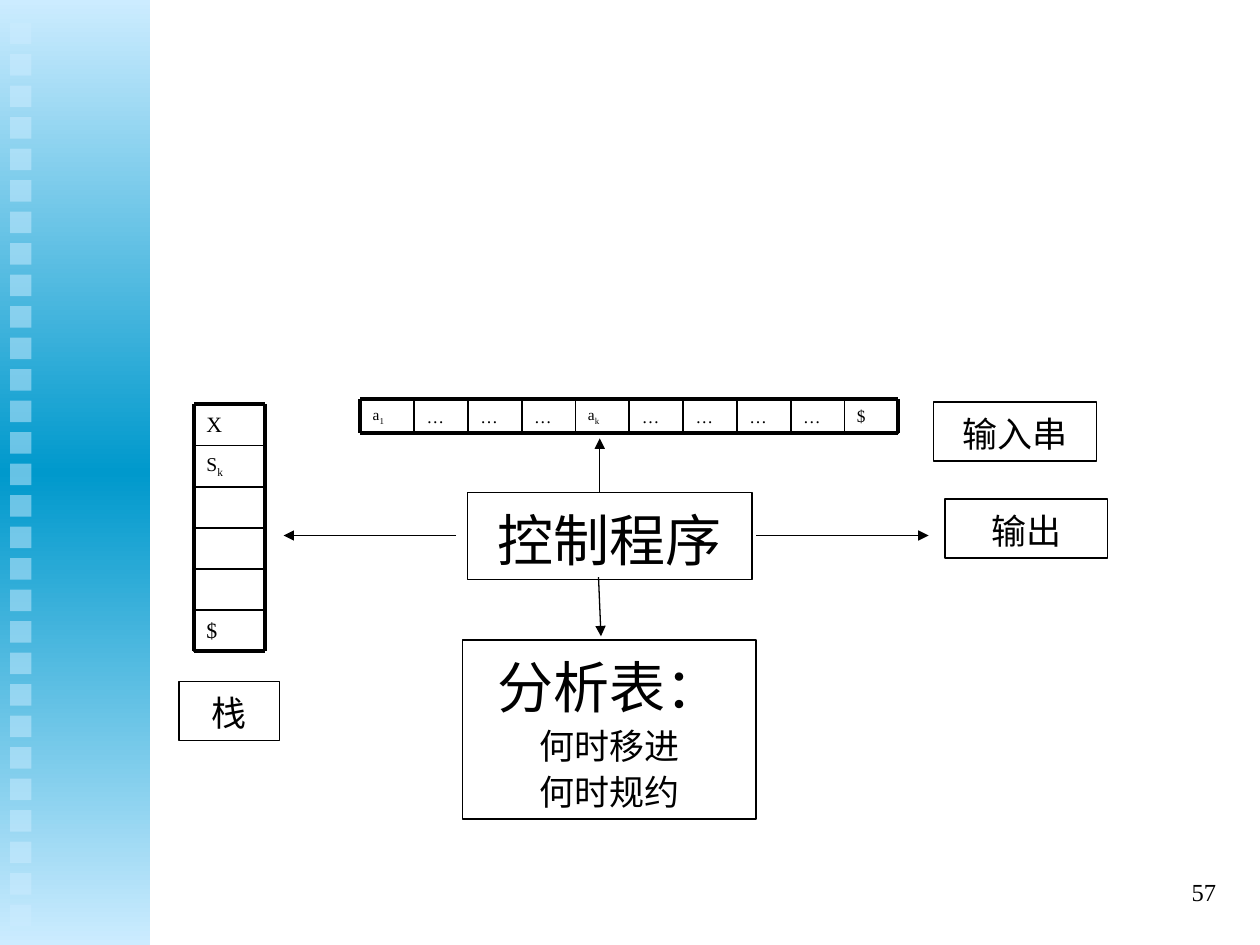
from copy import deepcopy

from pptx import Presentation
from pptx import util as u
from pptx.dml.color import RGBColor
from pptx.enum import shapes, text
from pptx.oxml import ns
from pptx.oxml.xmlchemy import OxmlElement

BLACK = RGBColor(0x00, 0x00, 0x00)
PALE_BLUE = RGBColor(0xCC, 0xEC, 0xFF)
DEEP_BLUE = RGBColor(0x00, 0x99, 0xCC)
CJK_FONT = "Noto Sans CJK SC"
LATIN_FONT = "Times New Roman"
CENTER = text.PP_ALIGN.CENTER
LEFT = text.PP_ALIGN.LEFT
DOTS = ("…", "", 10)


def style_run(run, size, font):
    """Set size, colour and typeface of a run."""
    run.font.size = u.Pt(size)
    run.font.color.rgb = BLACK
    run.font.name = font
    east_asian = OxmlElement("a:ea")
    east_asian.set("typeface", font)
    run.font._element.find(ns.qn("a:latin")).addnext(east_asian)


def add_box(slide, left, top, width, height):
    """Add an unfilled rectangle with a thin black outline."""
    box = slide.shapes.add_shape(shapes.MSO_SHAPE.RECTANGLE, left, top, width, height)
    box.shadow.inherit = False
    box.fill.background()
    box.line.color.rgb = BLACK
    box.line.width = u.Pt(0.75)
    box.text_frame.word_wrap = True
    box.text_frame.vertical_anchor = text.MSO_ANCHOR.TOP
    return box


def add_line(slide, start, end, weight, arrow=False):
    """Draw a black line, with an arrowhead at its end if asked."""
    line = slide.shapes.add_connector(shapes.MSO_CONNECTOR.STRAIGHT, *start, *end)
    line.line.color.rgb = BLACK
    line.line.width = u.Pt(weight)
    if arrow:
        tip = OxmlElement("a:tailEnd")
        tip.set("type", "triangle")
        line.line._get_or_add_ln().append(tip)
    line._element.spPr.append(OxmlElement("a:effectLst"))


def add_label(slide, left, top, width, height, lines, space_before=0):
    """Add a box of centred lines given as (wording, size)."""
    box = add_box(slide, left, top, width, height)
    frame = box.text_frame
    frame.text = "\n".join(wording for wording, _ in lines)
    for paragraph, (_, size) in zip(frame.paragraphs, lines):
        paragraph.alignment = CENTER
        paragraph.line_spacing = 1.1
        paragraph.space_before = u.Pt(space_before)
        style_run(paragraph.runs[0], size, CJK_FONT)


def add_cell(slide, left, top, width, height, symbol, subscript, size):
    """Add one memory cell holding a symbol with an optional subscript."""
    frame = add_box(slide, left, top, width, height).text_frame
    if not symbol:
        return
    paragraph = frame.paragraphs[0]
    paragraph.text = symbol
    paragraph.alignment = LEFT
    paragraph.space_before = u.Pt(4)
    style_run(paragraph.runs[0], size, LATIN_FONT)
    if subscript:
        index = paragraph.add_run()
        index.text = subscript
        style_run(index, size, LATIN_FONT)
        index.font._element.set("baseline", "-25000")


def add_cell_strip(slide, left, top, width, height, cells, vertical=False):
    """Fill a box with equal cells, thin dividers and a heavy frame."""
    count = len(cells)
    right, bottom = left + width, top + height
    step_x, step_y = (0, height / count) if vertical else (width / count, 0)
    cell_width, cell_height = int(step_x or width), int(step_y or height)
    for i, cell in enumerate(cells):
        add_cell(slide, int(left + i * step_x), int(top + i * step_y),
                 cell_width, cell_height, *cell)
    for i in range(count + 1):
        x, y = int(left + i * step_x), int(top + i * step_y)
        end = (right, y) if vertical else (x, bottom)
        add_line(slide, (x, y), end, 2.25 if i in (0, count) else 1)
    if vertical:
        sides = [((x, top), (x, bottom)) for x in (left, right)]
    else:
        sides = [((left, y), (right, y)) for y in (top, bottom)]
    for start, end in sides:
        add_line(slide, start, end, 2.25)


def add_side_band(slide, left, top, width, height):
    """Draw the gradient band with its column of translucent squares."""
    band = add_box(slide, left, top, width, height)
    band.line.fill.background()
    band.fill.gradient()
    band.fill.gradient_angle = 90
    stops = band._element.spPr.find(".//" + ns.qn("a:gsLst"))
    stops.append(deepcopy(stops[0]))
    colors = (PALE_BLUE, DEEP_BLUE, PALE_BLUE)
    for i, (stop, color) in enumerate(zip(band.fill.gradient_stops, colors)):
        stop.color.rgb = color
        stop.position = i / 2
    side = u.Inches(0.17)
    for i in range(29):
        square = add_box(slide, left + u.Inches(0.08),
                         top + u.Inches(0.18 + 0.25 * i), side, side)
        square.line.fill.background()
        square.fill.solid()
        square.fill.fore_color.rgb = PALE_BLUE
        alpha = OxmlElement("a:alpha")
        alpha.set("val", "50000")
        square._element.spPr.find(".//" + ns.qn("a:srgbClr")).append(alpha)


def add_parser_diagram(slide, left, top):
    """Draw the parser model: stack, input, control program, table and output."""
    def place(x, y, width, height):
        return (left + u.Inches(x), top + u.Inches(y),
                u.Inches(width), u.Inches(height))

    add_label(slide, *place(0, 2.24, 0.8, 0.47), [("栈", 20)], 12.5)
    add_label(slide, *place(2.29, 0.74, 2.26, 0.69), [("控制程序", 32)], 20)
    add_label(slide, *place(2.25, 1.91, 2.33, 1.42),
              [("分析表：", 32), ("何时移进", 20), ("何时规约", 20)])
    add_cell_strip(slide, *place(1.44, 0, 4.27, 0.27),
                   [("a", "1", 8.8), *[DOTS] * 3, ("a", "k", 8.8),
                    *[DOTS] * 4, ("$", "", 9.9)])
    add_cell_strip(slide, *place(0.12, 0.04, 0.56, 1.96),
                   [("X", "", 12.5), ("S", "k", 11.2), *[("", "", 12.5)] * 3,
                    ("$", "", 12.5)], vertical=True)
    add_label(slide, *place(5.99, 0.02, 1.29, 0.47), [("输入串", 20)], 12.5)
    add_label(slide, *place(6.08, 0.79, 1.29, 0.47), [("输出", 20)], 12.5)
    for x1, y1, x2, y2 in ((2.2, 1.08, 0.83, 1.08), (4.58, 1.08, 5.95, 1.08),
                           (3.33, 1.41, 3.35, 1.88), (3.34, 0.74, 3.34, 0.31)):
        add_line(slide, (left + u.Inches(x1), top + u.Inches(y1)),
                 (left + u.Inches(x2), top + u.Inches(y2)), 0.75, arrow=True)


def add_page_number(slide, left, top, width, height, number):
    """Place the right-aligned page number."""
    frame = slide.shapes.add_textbox(left, top, width, height).text_frame
    frame.word_wrap = True
    frame.vertical_anchor = text.MSO_ANCHOR.MIDDLE
    frame.text = number
    frame.paragraphs[0].alignment = text.PP_ALIGN.RIGHT
    style_run(frame.paragraphs[0].runs[0], 14, LATIN_FONT)


def main():
    """Build and save the slide."""
    deck = Presentation()
    deck.slide_width, deck.slide_height = u.Inches(10), u.Inches(7.5)
    slide = deck.slides.add_slide(deck.slide_layouts[6])
    add_side_band(slide, 0, 0, u.Inches(1.19), deck.slide_height)
    add_parser_diagram(slide, u.Inches(1.42), u.Inches(3.17))
    add_page_number(slide, u.Inches(7.67), u.Inches(6.83),
                    u.Inches(2.08), u.Inches(0.5), "57")
    deck.save("out.pptx")


if __name__ == "__main__":
    main()
